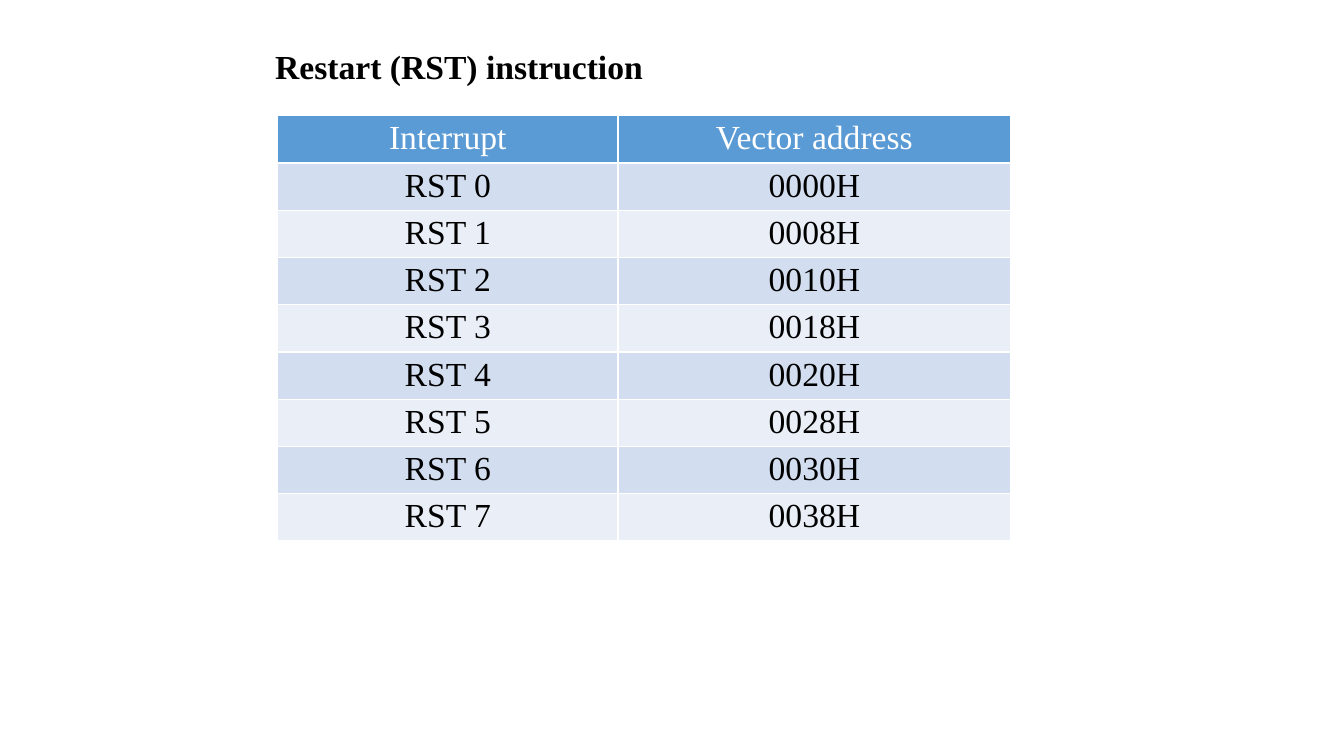
"""Build the slide on the Restart (RST) instruction and its vector addresses."""
from dataclasses import dataclass

from lxml.etree import SubElement
from pptx import Presentation
from pptx.dml.color import RGBColor as Color
from pptx.enum.text import MSO_ANCHOR as Anchor, PP_ALIGN as Align
from pptx.oxml.ns import qn
from pptx.util import Pt

TITLE = "Restart (RST) instruction"
HEADER = ("Interrupt", "Vector address")
VECTORS = [
    ("RST 0", "0000H"),
    ("RST 1", "0008H"),
    ("RST 2", "0010H"),
    ("RST 3", "0018H"),
    ("RST 4", "0020H"),
    ("RST 5", "0028H"),
    ("RST 6", "0030H"),
    ("RST 7", "0038H"),
]

SLIDE_SIZE = (960, 540)
TITLE_BOX = (189.5, 29.5, 480, 65.5)
TABLE_ORIGIN = (198.25, 82.75)
COLUMN_WIDTHS = (243.25, 280.5)
ROW_HEIGHT = 33.75
CELL_MARGIN = 3


@dataclass(frozen=True)
class Theme:
    font: str = "Times New Roman"
    size: int = 24
    text: str = "000000"
    header_text: str = "FFFFFF"
    header_fill: str = "5B9BD5"
    bands: tuple = ("D2DEEF", "EAEFF7")
    border: str = "FFFFFF"
    border_width: int = 1


THEME = Theme()


def add_text(paragraph, text, color, bold=False):
    run = paragraph.add_run()
    run.text = text
    run.font.name = THEME.font
    run.font.size = Pt(THEME.size)
    run.font.bold = bold
    run.font.color.rgb = Color.from_string(color)


def add_borders(cell):
    properties = cell._tc.get_or_add_tcPr()
    for position, side in enumerate(("lnL", "lnR", "lnT", "lnB")):
        line = SubElement(properties, qn(f"a:{side}"), w=str(Pt(THEME.border_width)))
        fill = SubElement(line, qn("a:solidFill"))
        SubElement(fill, qn("a:srgbClr"), val=THEME.border)
        properties.insert(position, line)


def fill_cell(cell, text, text_color, fill_color):
    cell.fill.solid()
    cell.fill.fore_color.rgb = Color.from_string(fill_color)
    cell.margin_top = cell.margin_bottom = Pt(CELL_MARGIN)
    cell.vertical_anchor = Anchor.TOP
    paragraph = cell.text_frame.paragraphs[0]
    paragraph.alignment = Align.CENTER
    add_text(paragraph, text, text_color)
    add_borders(cell)


def add_title(slide):
    frame = slide.shapes.add_textbox(*map(Pt, TITLE_BOX)).text_frame
    frame.word_wrap = True
    add_text(frame.paragraphs[0], TITLE, THEME.text, bold=True)


def add_vector_table(slide):
    rows = [HEADER, *VECTORS]
    size = (sum(COLUMN_WIDTHS), ROW_HEIGHT * len(rows))
    table = slide.shapes.add_table(
        len(rows), len(HEADER), *map(Pt, TABLE_ORIGIN + size)
    ).table
    for column, width in zip(table.columns, COLUMN_WIDTHS):
        column.width = Pt(width)
    for index, values in enumerate(rows):
        table.rows[index].height = Pt(ROW_HEIGHT)
        if index == 0:
            colors = (THEME.header_text, THEME.header_fill)
        else:
            colors = (THEME.text, THEME.bands[(index - 1) % 2])
        for cell, value in zip(table.rows[index].cells, values):
            fill_cell(cell, value, *colors)


def main():
    presentation = Presentation()
    presentation.slide_width, presentation.slide_height = map(Pt, SLIDE_SIZE)
    slide = presentation.slides.add_slide(presentation.slide_layouts[6])
    add_vector_table(slide)
    add_title(slide)
    presentation.save("out.pptx")


if __name__ == "__main__":
    main()
